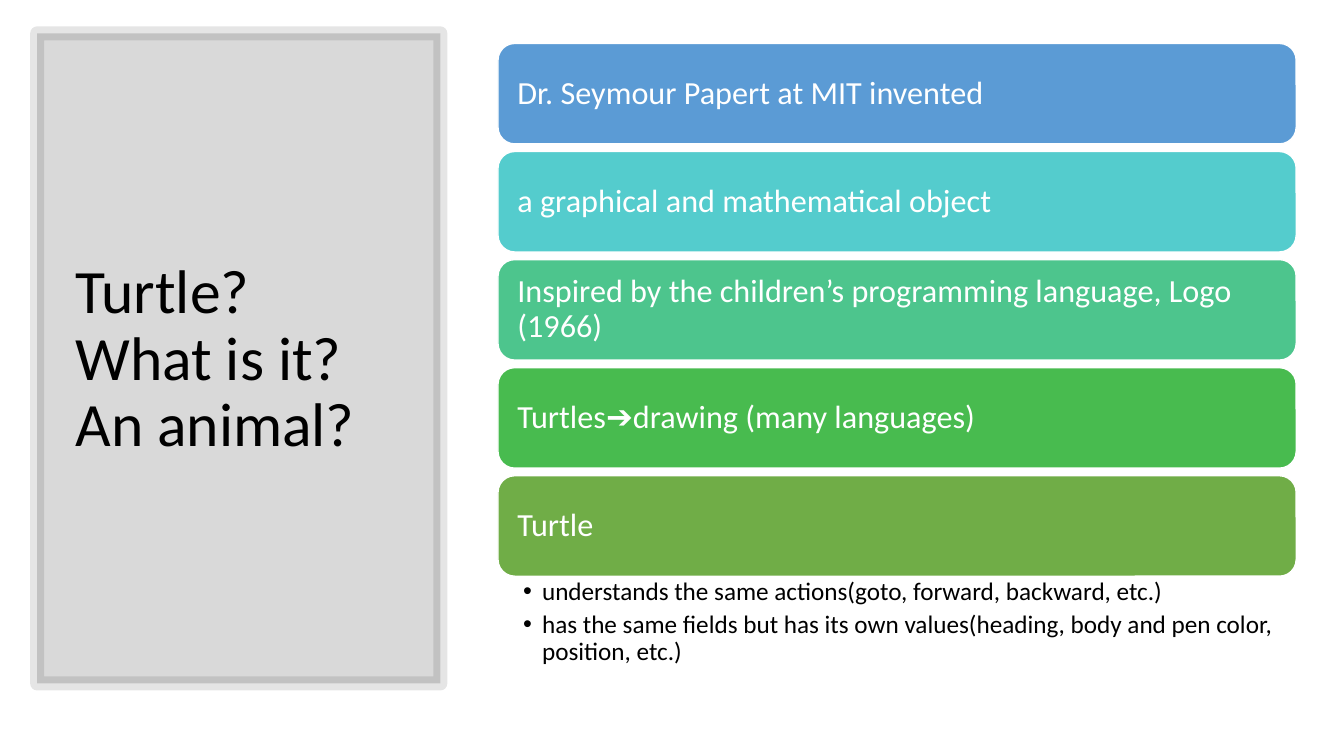
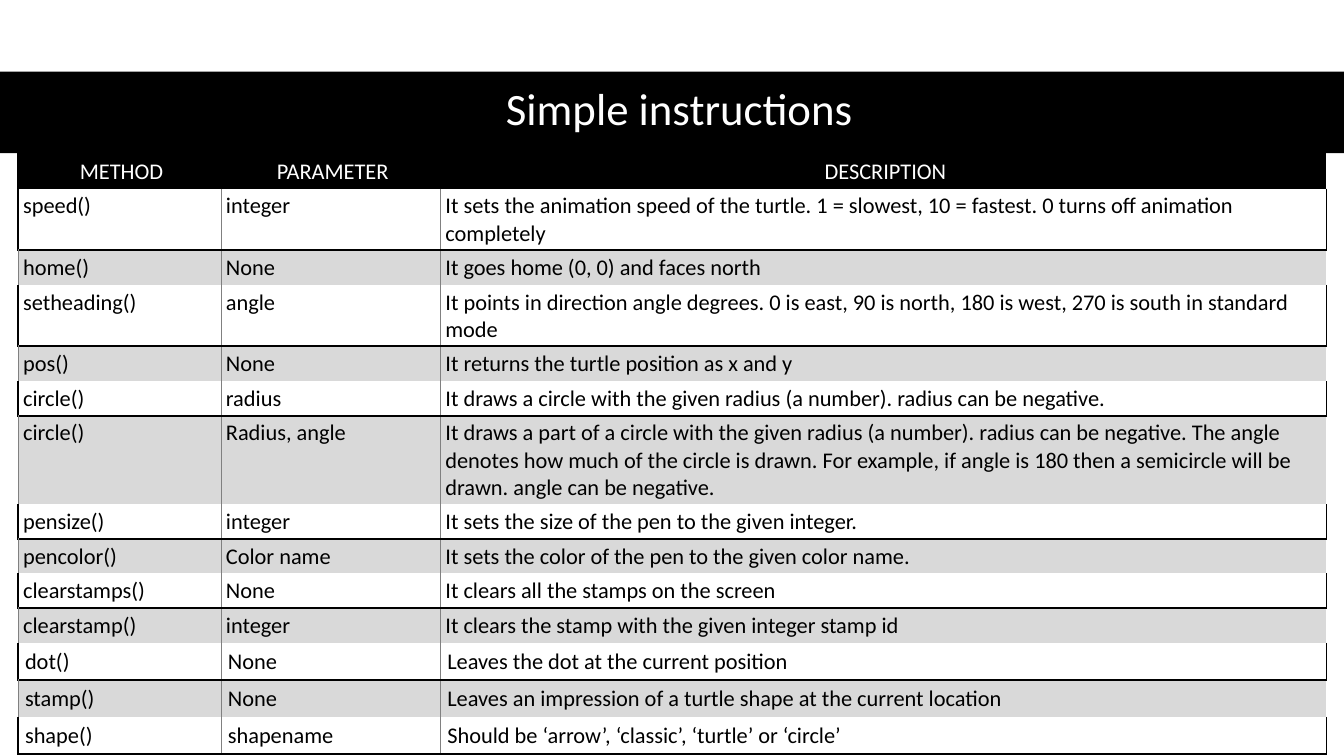
from dataclasses import dataclass

from lxml.etree import SubElement
from pptx import Presentation
from pptx.dml.color import RGBColor
from pptx.enum.shapes import MSO_SHAPE as Shape
from pptx.enum.text import MSO_ANCHOR as Anchor, PP_ALIGN as Align
from pptx.oxml.ns import qn
from pptx.util import Pt


@dataclass(frozen=True)
class Theme:
    font: str = "Calibri"
    black: str = "000000"
    white: str = "FFFFFF"
    stripe: str = "D9D9D9"
    rule: str = "808080"
    bars: tuple = ("5B9BD5", "54CCCD", "4DC58D", "48BB4F", "70AD47")
    panel_title: int = 44
    band_title: int = 32
    bar: int = 23
    bullet: int = 18
    cell: int = 16


T = Theme()
WIDTH, HEIGHT = 960, 540

TURTLE_TITLE = "Turtle?\vWhat is it?\vAn animal?"
TURTLE_FACTS = [
    "Dr. Seymour Papert at MIT invented",
    "a graphical and mathematical object",
    "Inspired by the children’s programming language, Logo (1966)",
    "Turtles➔drawing (many languages)",
    "Turtle",
]
TURTLE_TRAITS = [
    "understands the same actions(goto, forward, backward, etc.)",
    "has the same fields but has its own values(heading, body and pen color, "
    "position, etc.)",
]

METHODS_TITLE = "Simple instructions"
METHODS = [
    ("METHOD", "PARAMETER", "DESCRIPTION"),
    ("speed()", "integer", "It sets the animation speed of the turtle. "
     "1 = slowest, 10 = fastest. 0 turns off animation completely"),
    ("home()", "None", "It goes home (0, 0) and faces north"),
    ("setheading()", "angle", "It points in direction angle degrees. 0 is east, "
     "90 is north, 180 is west, 270 is south in standard mode"),
    ("pos()", "None", "It returns the turtle position as x and y"),
    ("circle()", "radius", "It draws a circle with the given radius (a number). "
     "radius can be negative."),
    ("circle()", "Radius, angle", "It draws a part of a circle with the given "
     "radius (a number). radius can be negative. The angle denotes how much of "
     "the circle is drawn. For example, if angle is 180 then a semicircle will "
     "be drawn. angle can be negative."),
    ("pensize()", "integer", "It sets the size of the pen to the given integer."),
    ("pencolor()", "Color name",
     "It sets the color of the pen to the given color name."),
    ("clearstamps()", "None", "It clears all the stamps on the screen"),
    ("clearstamp()", "integer",
     "It clears the stamp with the given integer stamp id"),
    ("dot()", "None", "Leaves the dot at the current position"),
    ("stamp()", "None",
     "Leaves an impression of a turtle shape at the current location"),
    ("shape()", "shapename", "Should be ‘arrow’, ‘classic’, ‘turtle’ or ‘circle’"),
]
COLUMN_WIDTHS = (144.9, 156.8, 632.9)
ROW_HEIGHT = 21
ROOMY_FROM = 11  # first row with the wider cell margins

THICK, THIN = (T.black, 1.5), (T.rule, 0.5)


def rgb(color):
    return RGBColor.from_string(color)


def set_attrs(obj, **values):
    for name, value in values.items():
        setattr(obj, name, value)


def set_margins(obj, left, top, right, bottom):
    set_attrs(obj, margin_left=Pt(left), margin_top=Pt(top),
              margin_right=Pt(right), margin_bottom=Pt(bottom))


def write(p, text, size, color, **paragraph):
    p.text = text
    set_attrs(p, **paragraph)
    for r in p.runs:
        set_attrs(r.font, name=T.font, size=Pt(size))
        r.font.color.rgb = rgb(color)


def set_alpha(fill_parent, percent):
    """Make the solid colour inside an element see-through."""
    color = next(fill_parent.iterchildren(qn("a:solidFill")))[0]
    SubElement(color, qn("a:alpha"), val=str(percent * 1000))


def add_block(s, kind, box, fill, line=None):
    sp = s.shapes.add_shape(kind, *map(Pt, box))
    sp.shadow.inherit = False
    sp.fill.solid()
    sp.fill.fore_color.rgb = rgb(fill)
    if line:
        color, weight = line
        sp.line.color.rgb = rgb(color)
        sp.line.width = Pt(weight)
    else:
        sp.line.fill.background()
    return sp


def add_text_frame(s, box, anchor):
    tf = s.shapes.add_textbox(*map(Pt, box)).text_frame
    set_attrs(tf, word_wrap=True, vertical_anchor=anchor)
    return tf


def add_title(s, box, text, size, color, align):
    tf = add_text_frame(s, box, Anchor.MIDDLE)
    write(tf.paragraphs[0], text, size, color, alignment=align, line_spacing=0.9)


def add_bullet(p, indent):
    pPr = p._p.get_or_add_pPr()
    pPr.set("marL", str(Pt(indent)))
    pPr.set("indent", str(-Pt(indent)))
    SubElement(pPr, qn("a:buFont"), typeface="Arial")
    SubElement(pPr, qn("a:buChar"), char="•")


def set_borders(cell, **borders):
    """Draw the given sides (L, R, T, B) and clear the others."""
    tcPr = cell._tc.get_or_add_tcPr()
    for i, side in enumerate("LRTB"):
        color, weight = borders.get(side) or (None, 0)
        ln = SubElement(tcPr, qn(f"a:ln{side}"), w=str(Pt(weight)))
        tcPr.remove(ln)
        tcPr.insert(i, ln)
        if color:
            fill = SubElement(ln, qn("a:solidFill"))
            SubElement(fill, qn("a:srgbClr"), val=color)
        else:
            SubElement(ln, qn("a:noFill"))


def cell_borders(row, first, last):
    if row == 0:
        return dict(L=THICK, T=THICK, R=None if last else THICK)
    if row % 2:
        return dict(L=THICK if first else THIN, R=THICK if last else THIN, B=THICK)
    return dict(L=THIN, T=THICK, R=None if last else THIN)


def build_turtle_slide(s):
    panel = add_block(s, Shape.RECTANGLE, (26.6, 23.8, 288, 464.4),
                      T.black, (T.black, 10))
    set_alpha(panel._element.spPr, 15)
    set_alpha(panel.line._get_or_add_ln(), 10)
    add_title(s, (46.8, 50.4, 249.1, 414), TURTLE_TITLE,
              T.panel_title, T.black, Align.LEFT)

    left, top, width, height, pitch = 355.7, 31, 570.2, 71.8, 77.2
    for i, (fact, fill) in enumerate(zip(TURTLE_FACTS, T.bars)):
        bar = add_block(s, Shape.ROUNDED_RECTANGLE,
                        (left, top + i * pitch, width, height), fill, (T.white, 1))
        tf = bar.text_frame
        set_attrs(tf, word_wrap=True, vertical_anchor=Anchor.MIDDLE)
        set_margins(tf, 10.4, 10.4, 10.4, 10.4)
        write(tf.paragraphs[0], fact, T.bar, T.white,
              alignment=Align.LEFT, line_spacing=0.9)

    traits_top = top + (len(TURTLE_FACTS) - 1) * pitch + height
    tf = add_text_frame(s, (left, traits_top, width, 69), Anchor.TOP)
    set_margins(tf, 18, 2, 13, 2)
    for i, trait in enumerate(TURTLE_TRAITS):
        p = tf.add_paragraph() if i else tf.paragraphs[0]
        write(p, trait, T.bullet, T.black, line_spacing=0.9, space_after=Pt(3.6))
        add_bullet(p, 13.5)


def build_methods_slide(s):
    add_block(s, Shape.RECTANGLE, (0, 51.2, WIDTH, 58.2), T.black)
    add_title(s, (43.9, 50.4, 882.7, 58.3), METHODS_TITLE,
              T.band_title, T.white, Align.CENTER)

    rows, cols = len(METHODS), len(COLUMN_WIDTHS)
    box = (12.9, 109.9, sum(COLUMN_WIDTHS), rows * ROW_HEIGHT)
    table = s.shapes.add_table(rows, cols, *map(Pt, box)).table
    set_attrs(table, first_row=False, horz_banding=False)
    for column, width in zip(table.columns, COLUMN_WIDTHS):
        column.width = Pt(width)
    for r, texts in enumerate(METHODS):
        table.rows[r].height = Pt(ROW_HEIGHT)
        head = r == 0
        margins = (5, 3.6, 0.7, 3.6) if r >= ROOMY_FROM else (3.6, 2.8, 0.7, 2.8)
        for c, text in enumerate(texts):
            cell = table.cell(r, c)
            set_margins(cell, *margins)
            cell.vertical_anchor = Anchor.MIDDLE if head else Anchor.TOP
            if r % 2:
                cell.fill.background()
            else:
                cell.fill.solid()
                cell.fill.fore_color.rgb = rgb(T.black if head else T.stripe)
            write(cell.text_frame.paragraphs[0], text, T.cell,
                  T.white if head else T.black,
                  alignment=Align.CENTER if head else Align.LEFT)
            set_borders(cell, **cell_borders(r, c == 0, c == cols - 1))


def main():
    prs = Presentation()
    set_attrs(prs, slide_width=Pt(WIDTH), slide_height=Pt(HEIGHT))
    for build in (build_turtle_slide, build_methods_slide):
        build(prs.slides.add_slide(prs.slide_layouts[6]))
    prs.save("out.pptx")


if __name__ == "__main__":
    main()
